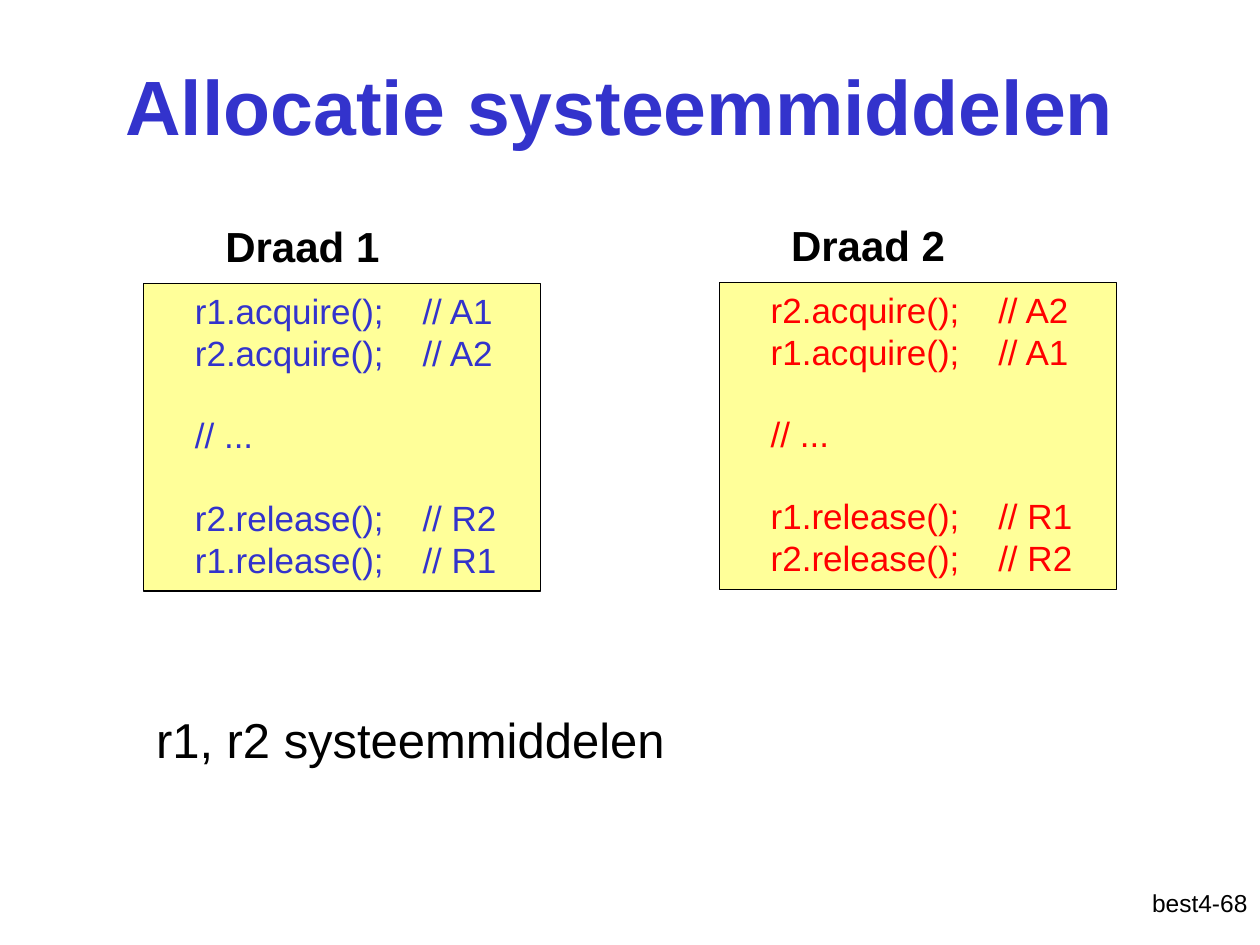
from pptx import Presentation
from pptx.dml.color import RGBColor
from pptx.enum.shapes import MSO_SHAPE as Shape
from pptx.enum.text import MSO_ANCHOR as Anchor, PP_ALIGN as Align
from pptx.util import Inches, Pt

BLUE, RED, BLACK, YELLOW = "3333CC", "FF0000", "000000", "FFFF99"
CODE_SIZE = 20
CODE_LINE = 23  # height of one line of code, in points


def color(code):
    return RGBColor.from_string(code)


def style(frame, size, tint=BLACK, bold=False, align=Align.LEFT):
    for para in frame.paragraphs:
        para.alignment = align
        for run in para.runs:
            font = run.font
            font.name, font.size, font.bold = "Arial", Pt(size), bold
            font.color.rgb = color(tint)


def add_title(slide, text, left, top, width, height):
    title = slide.shapes.title
    title.left, title.top = Inches(left), Inches(top)
    title.width, title.height = Inches(width), Inches(height)
    frame = title.text_frame
    frame.text = text
    frame.vertical_anchor = Anchor.MIDDLE
    style(frame, 44, BLUE, True, Align.CENTER)


def add_label(slide, text, left, top, width, height, size, **look):
    box = slide.shapes.add_textbox(
        Inches(left), Inches(top), Inches(width), Inches(height))
    frame = box.text_frame
    frame.word_wrap = True
    frame.text = text
    style(frame, size, **look)


def add_thread(slide, name, parts, tint, left, top, indent):
    """Draw a heading above a code box; parts are set one line apart."""
    add_label(slide, name, left + indent, top - 0.55, 1.73, 0.5, 24, bold=True)
    box = slide.shapes.add_shape(
        Shape.RECTANGLE, Inches(left), Inches(top), Inches(3.15), Inches(2.44))
    box.shadow.inherit = False
    box.fill.solid()
    box.fill.fore_color.rgb = color(YELLOW)
    box.line.color.rgb = color(BLACK)
    box.line.width = Pt(0.75)
    frame = box.text_frame
    frame.word_wrap = True
    frame.vertical_anchor = Anchor.TOP
    frame.text = "\n".join("    " + line for part in parts for line in part)
    style(frame, CODE_SIZE, tint)
    start = 0
    for part in parts[:-1]:
        start += len(part)
        frame.paragraphs[start].space_before = Pt(CODE_LINE)


def main():
    deck = Presentation()
    deck.slide_width, deck.slide_height = Inches(10), Inches(7.5)
    slide = deck.slides.add_slide(deck.slide_layouts[5])
    add_title(slide, "Allocatie systeemmiddelen", 0.67, 0.08, 8.5, 1.5)
    add_thread(slide, "Draad 1", [
        ["r1.acquire();    // A1", "r2.acquire();    // A2"],
        ["// ..."],
        ["r2.release();    // R2", "r1.release();    // R1"],
    ], BLUE, 1.14, 2.25, 0.55)
    add_thread(slide, "Draad 2", [
        ["r2.acquire();    // A2", "r1.acquire();    // A1"],
        ["// ..."],
        ["r1.release();    // R1", "r2.release();    // R2"],
    ], RED, 5.71, 2.24, 0.47)
    add_label(slide, "r1, r2 systeemmiddelen", 1.14, 5.58, 5.83, 0.57, 28)
    add_label(slide, "best4-68", 7.92, 7, 2.08, 0.5, 14, align=Align.RIGHT)
    deck.save("out.pptx")


if __name__ == "__main__":
    main()
